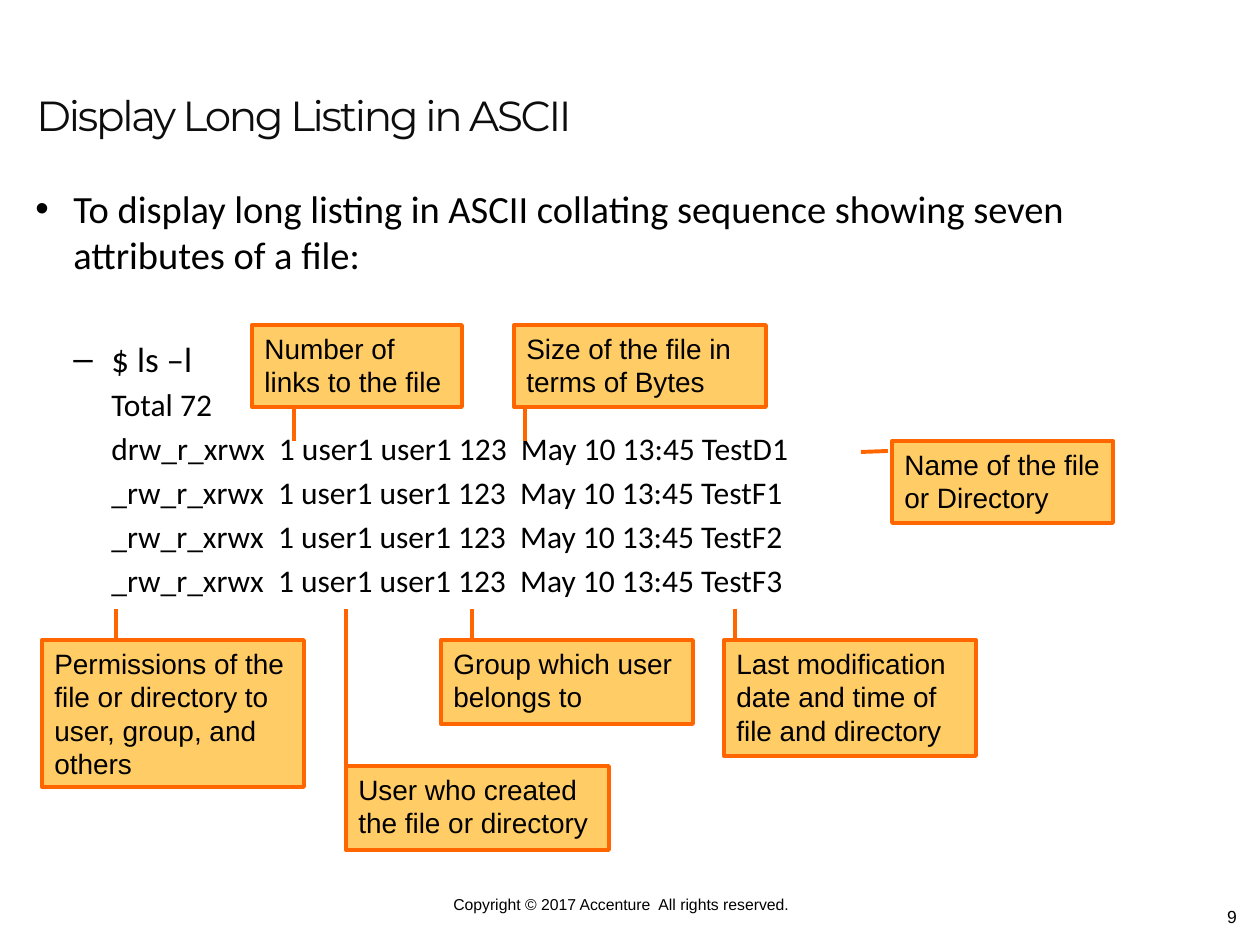
"""Build the slide that explains each column of a long directory listing."""
from dataclasses import dataclass

import lxml.etree
import pptx
import pptx.dml.color
import pptx.enum.shapes
import pptx.enum.text
import pptx.oxml.ns
import pptx.util

EMU_PER_PX = 914400 / 126
ALIGN = pptx.enum.text.PP_ALIGN
ANCHOR = pptx.enum.text.MSO_ANCHOR


@dataclass(frozen=True)
class Theme:
    ink: str = "000000"
    heading_ink: str = "0D0D0D"
    callout_fill: str = "FFCC66"
    accent: str = "FF6600"
    heading_font: str = "Montserrat"
    body_font: str = "Calibri"
    label_font: str = "Arial"
    heading_size: int = 24
    intro_size: int = 22
    command_size: int = 20
    listing_size: int = 18
    callout_size: int = 16
    page_size: int = 10
    copyright_size: int = 9
    rule_width: float = 2.25


THEME = Theme()


@dataclass(frozen=True)
class Box:
    left: int
    top: int
    width: int
    height: int


@dataclass(frozen=True)
class Callout:
    label: str
    box: Box
    start: tuple[int, int]
    end: tuple[int, int]


CALLOUTS = [
    Callout("Number of links to the file", Box(252, 325, 210, 82), (294, 409), (294, 441)),
    Callout("Size of the file in terms of Bytes", Box(514, 325, 252, 82), (525, 409), (525, 441)),
    Callout("Name of the file or Directory", Box(892, 441, 221, 82), (888, 451), (861, 452)),
    Callout("User who created the file or directory", Box(346, 766, 263, 84), (346, 609), (346, 766)),
    Callout("Last modification date and time of file and directory",
            Box(724, 640, 252, 116), (735, 609), (735, 640)),
    Callout("Group which user belongs to", Box(441, 640, 252, 84), (472, 609), (472, 640)),
    Callout("Permissions of the file or directory to user, group, and others",
            Box(42, 640, 262, 147), (116, 609), (116, 640)),
]

LISTING = ["Total 72"] + [
    f"{permissions}  1 user1 user1 123  May 10 13:45 {name}"
    for permissions, name in [
        ("drw_r_xrwx", "TestD1"),
        ("_rw_r_xrwx", "TestF1"),
        ("_rw_r_xrwx", "TestF2"),
        ("_rw_r_xrwx", "TestF3"),
    ]
]


def px(length: int) -> int:
    """Turn pixels into EMU."""
    return round(length * EMU_PER_PX)


def color(code: str) -> pptx.dml.color.RGBColor:
    """Turn a hex code into a colour."""
    return pptx.dml.color.RGBColor.from_string(code)


def place(box: Box) -> tuple[int, int, int, int]:
    """Give the position and size of a box in EMU."""
    return px(box.left), px(box.top), px(box.width), px(box.height)


def add_frame(slide, box: Box, *, anchor=ANCHOR.TOP):
    """Add a wrapping text box and return its frame."""
    frame = slide.shapes.add_textbox(*place(box)).text_frame
    frame.word_wrap = True
    frame.vertical_anchor = anchor
    return frame


def write(frame, text: str, *, size: int, font: str, ink: str = THEME.ink,
          align=ALIGN.LEFT, before: float = 0, line_spacing: float = 1,
          tracking: int = 0, indent: int = 0, hanging: int = 0, bullet: str = "") -> None:
    """Write one paragraph, using the first one while it is still empty."""
    first = frame.paragraphs[0]
    paragraph = frame.add_paragraph() if first.runs else first
    paragraph.alignment = align
    paragraph.line_spacing = line_spacing
    paragraph.space_before = pptx.util.Pt(before)
    properties = paragraph._p.get_or_add_pPr()
    properties.set("marL", str(px(indent)))
    properties.set("indent", str(-px(hanging)))
    if bullet:
        typeface = lxml.etree.SubElement(properties, pptx.oxml.ns.qn("a:buFont"))
        typeface.set("typeface", THEME.label_font)
        mark = lxml.etree.SubElement(properties, pptx.oxml.ns.qn("a:buChar"))
        mark.set("char", bullet)
    run = paragraph.add_run()
    run.text = text
    run.font.size = pptx.util.Pt(size)
    run.font.name = font
    run.font.color.rgb = color(ink)
    if tracking:
        run.font._element.set("spc", str(tracking))


def draw_callout(slide, callout: Callout) -> None:
    """Draw a labelled box and the line that ties it to the listing."""
    panel = slide.shapes.add_shape(pptx.enum.shapes.MSO_SHAPE.RECTANGLE, *place(callout.box))
    panel.shadow.inherit = False
    panel.fill.solid()
    panel.fill.fore_color.rgb = color(THEME.callout_fill)
    panel.text_frame.word_wrap = True
    panel.text_frame.vertical_anchor = ANCHOR.TOP
    write(panel.text_frame, callout.label, size=THEME.callout_size, font=THEME.label_font)
    leader = slide.shapes.add_connector(
        pptx.enum.shapes.MSO_CONNECTOR.STRAIGHT,
        *(px(value) for value in callout.start + callout.end))
    lxml.etree.SubElement(leader._element.spPr, pptx.oxml.ns.qn("a:effectLst"))
    for outlined in (panel, leader):
        outlined.line.color.rgb = color(THEME.accent)
        outlined.line.width = pptx.util.Pt(THEME.rule_width)


def draw_explanation(slide) -> None:
    """Write the introduction, the command and its output."""
    body = add_frame(slide, Box(23, 179, 1174, 661))
    write(body, "To display long listing in ASCII collating sequence showing seven attributes of a file:",
          size=THEME.intro_size, font=THEME.body_font, indent=38, hanging=38, bullet="•")
    write(body, "$ ls –l", size=THEME.command_size, font=THEME.body_font,
          before=34, indent=76, hanging=38, bullet="–")
    for entry in LISTING:
        write(body, entry, size=THEME.listing_size, font=THEME.body_font, before=3.5, indent=76)


def draw_footer(slide) -> None:
    """Write the copyright line and the page number."""
    rights = add_frame(slide, Box(346, 895, 550, 19))
    rights.margin_left = rights.margin_right = rights.margin_top = rights.margin_bottom = 0
    write(rights, "Copyright © 2017 Accenture  All rights reserved.",
          size=THEME.copyright_size, font=THEME.label_font, align=ALIGN.CENTER)
    page = add_frame(slide, Box(955, 900, 294, 45))
    write(page, "9", size=THEME.page_size, font=THEME.label_font, align=ALIGN.RIGHT)


def main() -> None:
    """Build and save the presentation."""
    deck = pptx.Presentation()
    deck.slide_width, deck.slide_height = px(1260), px(945)
    slide = deck.slides.add_slide(deck.slide_layouts[6])
    draw_footer(slide)
    heading = add_frame(slide, Box(24, 21, 1124, 126), anchor=ANCHOR.BOTTOM)
    write(heading, "Display Long Listing in ASCII", size=THEME.heading_size,
          font=THEME.heading_font, ink=THEME.heading_ink, line_spacing=0.9, tracking=-130)
    draw_explanation(slide)
    for callout in CALLOUTS:
        draw_callout(slide, callout)
    deck.save("out.pptx")


if __name__ == "__main__":
    main()
